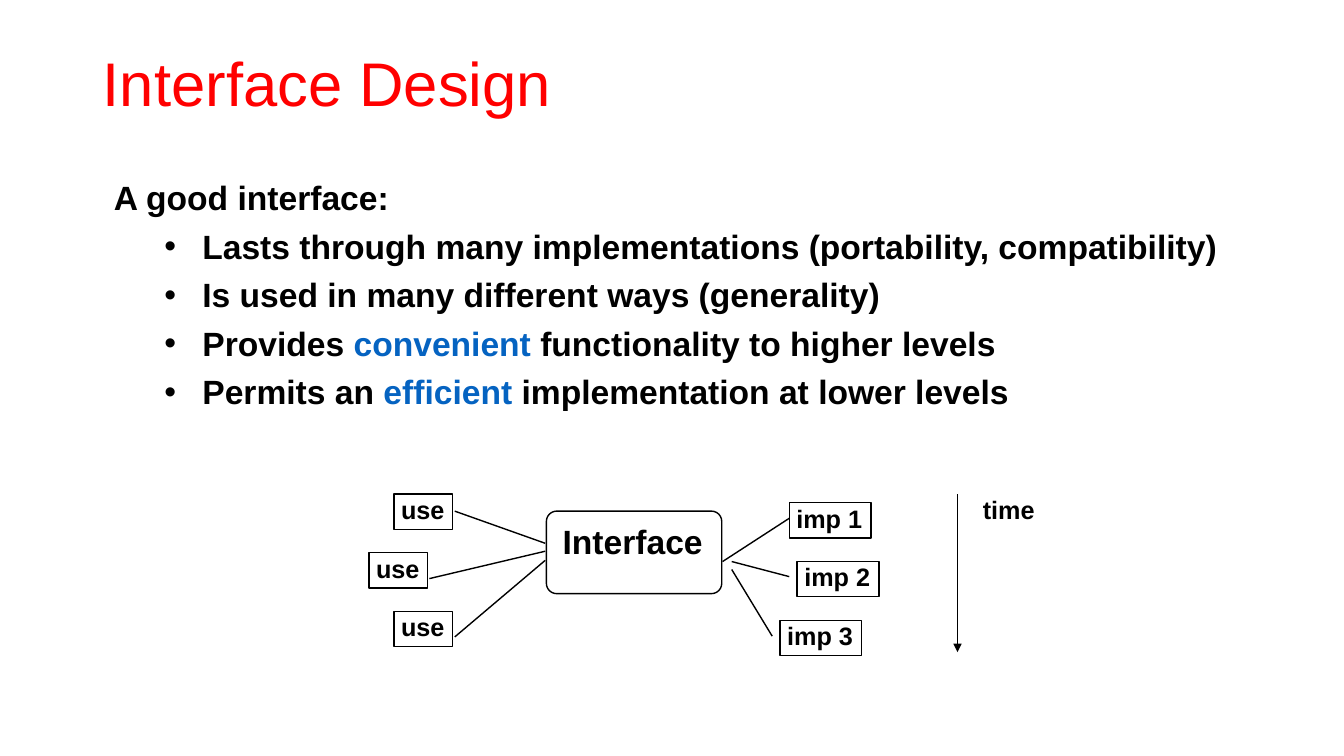
from dataclasses import dataclass

from lxml.etree import SubElement
from pptx import Presentation
from pptx.dml.color import RGBColor
from pptx.enum.shapes import MSO_CONNECTOR, MSO_SHAPE
from pptx.enum.text import MSO_ANCHOR, MSO_AUTO_SIZE, PP_ALIGN
from pptx.oxml.ns import qn
from pptx.shapes.autoshape import Shape
from pptx.slide import Slide
from pptx.text.text import Font, TextFrame
from pptx.util import Cm, Pt

BLACK, RED, BLUE = "000000", "FF0000", "0563C1"
ROW_STEP = 1.48


@dataclass
class Label:
    text: str
    left: float
    top: float
    width: float
    height: float = 0.89
    size: int = 18
    spacing: float = 0.92
    boxed: bool = True


@dataclass
class Line:
    start: tuple[float, float]
    end: tuple[float, float]
    arrow: bool = False


@dataclass
class Item:
    """A list entry; the accent is the word of the text set in blue."""
    text: str
    accent: str = ""


ITEMS = [
    Item("Lasts through many implementations (portability, compatibility)"),
    Item("Is used in many different ways (generality)"),
    Item("Provides convenient functionality to higher levels", "convenient"),
    Item("Permits an efficient implementation at lower levels", "efficient"),
]
USES = [Label("use", left, 12.45 + row * ROW_STEP, 1.48)
        for row, left in enumerate((9.93, 9.3, 9.93))]
IMPLEMENTATIONS = [Label(f"imp {row + 1}", left, 12.67 + row * ROW_STEP, 2.06)
                   for row, left in enumerate((19.89, 20.09, 19.66))]
CAPTIONS = [
    Label("Interface", 14, 13.18, 3.91, 1.04, 24, 0.87, boxed=False),
    Label("time", 24.59, 12.5, 1.8, 0.79, 18, 0.85, boxed=False),
]
LINES = [
    Line((11.46, 12.88), (13.74, 13.69)),
    Line((10.82, 14.58), (13.74, 13.89)),
    Line((11.46, 16.05), (13.74, 14.12)),
    Line((18.21, 14.15), (19.89, 13.06)),
    Line((18.44, 14.15), (19.89, 14.53)),
    Line((18.44, 14.35), (19.46, 16.03)),
    Line((24.13, 12.45), (24.13, 16.43), arrow=True),
]


def color(value: str) -> RGBColor:
    return RGBColor.from_string(value)


def style_font(font: Font, size: int, value: str, bold: bool) -> None:
    font.name = "Arial"
    font.size = Pt(size)
    font.bold = bold
    font.color.rgb = color(value)


def place(shape: Shape, left: float, top: float, width: float, height: float) -> None:
    shape.left, shape.top = Cm(left), Cm(top)
    shape.width, shape.height = Cm(width), Cm(height)


def set_frame(frame: TextFrame, wrap: bool) -> None:
    """Apply the narrow margins shared by the list and the labels."""
    frame.margin_left = frame.margin_right = Cm(0.18)
    frame.margin_top = frame.margin_bottom = Cm(0.08)
    frame.vertical_anchor = MSO_ANCHOR.TOP
    frame.word_wrap = wrap
    frame.auto_size = MSO_AUTO_SIZE.SHAPE_TO_FIT_TEXT


def outline(shape: Shape) -> None:
    shape.shadow.inherit = False
    shape.fill.background()
    shape.line.color.rgb = color(BLACK)
    shape.line.width = Pt(1)


def add_title(page: Slide) -> None:
    title = page.shapes.title
    place(title, 2.34, 1.02, 29.21, 2.31)
    title.text_frame.text = "Interface Design"
    title.text_frame.vertical_anchor = MSO_ANCHOR.MIDDLE
    para = title.text_frame.paragraphs[0]
    para.alignment = PP_ALIGN.LEFT
    para.line_spacing = 0.9
    style_font(para.font, 44, RED, bold=False)


def add_list(page: Slide) -> None:
    body = page.placeholders[1]
    place(body, 2.69, 4.53, 29.11, 6.25)
    frame = body.text_frame
    set_frame(frame, wrap=True)
    for index, item in enumerate([Item("A good interface:"), *ITEMS]):
        para = frame.add_paragraph() if index else frame.paragraphs[0]
        para.level = 1 if index else 0
        properties = para._p.get_or_add_pPr()
        properties.set("marL", str(Cm(2.23 if index else 0.96)))
        properties.set("indent", str(-Cm(0.96)))
        if index:
            SubElement(properties, qn("a:buFont"), typeface="Arial")
            SubElement(properties, qn("a:buChar"), char="•")
        else:
            SubElement(properties, qn("a:buNone"))
        para.line_spacing = 0.86
        para.space_before = Pt(9.9 if index else 0)
        style_font(para.font, 24, BLACK, bold=True)
        parts = item.text.partition(item.accent) if item.accent else (item.text,)
        for part in parts:
            span = para.add_run()
            span.text = part
            if part == item.accent:
                span.font.color.rgb = color(BLUE)


def add_label(page: Slide, label: Label) -> None:
    area = Cm(label.left), Cm(label.top), Cm(label.width), Cm(label.height)
    if label.boxed:
        box = page.shapes.add_shape(MSO_SHAPE.RECTANGLE, *area)
        outline(box)
    else:
        box = page.shapes.add_textbox(*area)
    set_frame(box.text_frame, wrap=False)
    box.text_frame.text = label.text
    para = box.text_frame.paragraphs[0]
    para.alignment = PP_ALIGN.LEFT
    para.line_spacing = label.spacing
    style_font(para.font, label.size, BLACK, bold=True)


def add_line(page: Slide, line: Line) -> None:
    connector = page.shapes.add_connector(
        MSO_CONNECTOR.STRAIGHT, *map(Cm, line.start + line.end))
    connector.line.color.rgb = color(BLACK)
    connector.line.width = Pt(1)
    properties = connector._element.spPr
    if line.arrow:
        SubElement(properties.find(qn("a:ln")), qn("a:tailEnd"), type="triangle")
    SubElement(properties, qn("a:effectLst"))


def add_interface_frame(page: Slide) -> None:
    box = page.shapes.add_shape(
        MSO_SHAPE.ROUNDED_RECTANGLE, Cm(13.77), Cm(12.88), Cm(4.42), Cm(2.08))
    box.adjustments[0] = 0.125
    outline(box)


def main() -> None:
    deck = Presentation()
    deck.slide_width, deck.slide_height = Cm(33.87), Cm(19.05)
    page = deck.slides.add_slide(deck.slide_layouts[1])
    add_title(page)
    add_list(page)
    add_interface_frame(page)
    for label in USES + IMPLEMENTATIONS + CAPTIONS:
        add_label(page, label)
    for line in LINES:
        add_line(page, line)
    deck.save("out.pptx")


if __name__ == "__main__":
    main()
